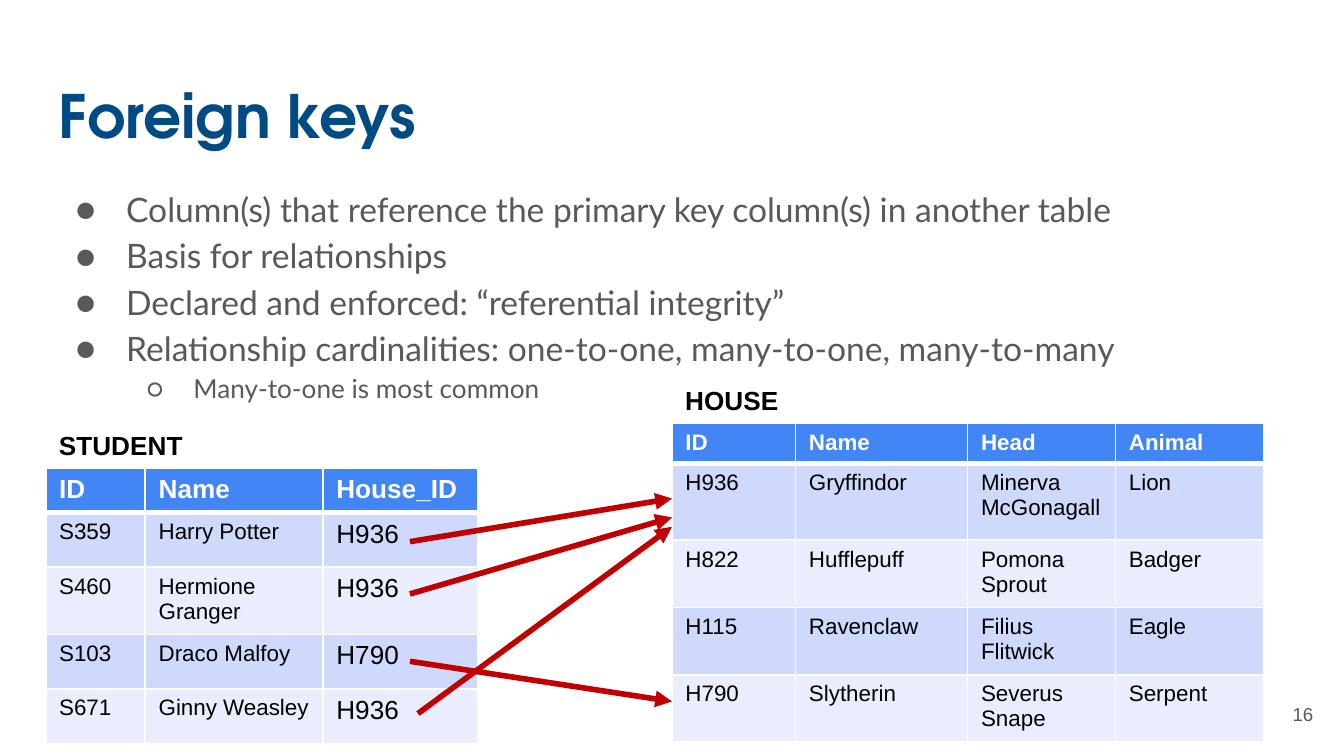
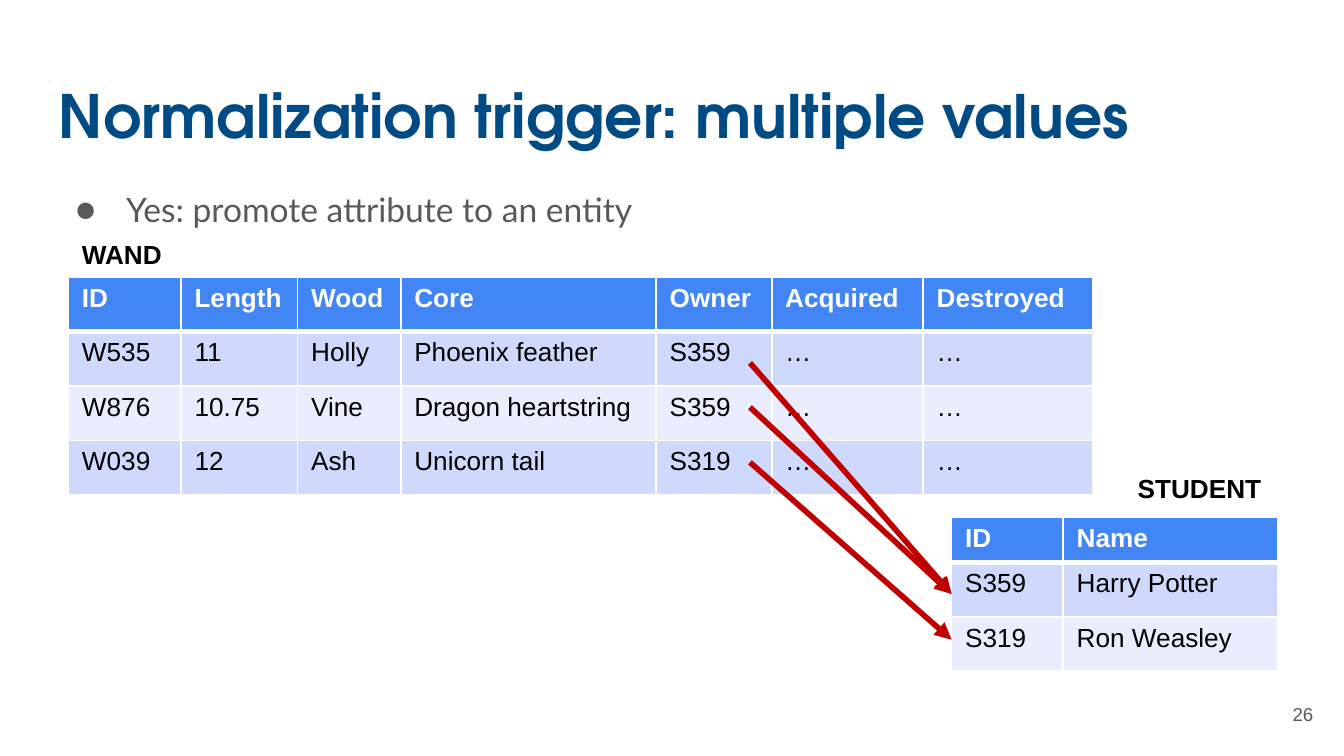
from dataclasses import dataclass

from lxml.etree import SubElement
from pptx import Presentation
from pptx.dml.color import RGBColor
from pptx.enum.shapes import MSO_CONNECTOR
from pptx.enum.text import MSO_ANCHOR, MSO_AUTO_SIZE, PP_ALIGN
from pptx.oxml.ns import qn
from pptx.util import Pt

# Shared look
NAVY, GREY, BLACK, WHITE, RED = "004B83", "595959", "000000", "FFFFFF", "C00000"
HEADER_FILL, BAND_FILLS = "4285F4", ("CFD9FB", "E9EDFD")
TITLE_FONT, BODY_FONT, TABLE_FONT = "TeX Gyre Adventor", "Lato", "Arial"
INSET = 7.2
ROW = 29.2


@dataclass
class Box:
    left: float
    top: float
    width: float
    height: float

    def lengths(self):
        return Pt(self.left), Pt(self.top), Pt(self.width), Pt(self.height)


TITLE_BOX = Box(24.5, 35, 671, 45.4)
BODY_BOX = Box(24.5, 90.7, 671, 269.3)
NUMBER_BOX = Box(667.4, 367.2, 43.2, 31)
LABEL_WIDTH, LABEL_HEIGHT = 87.1, 24.2


def color(value):
    return RGBColor.from_string(value)


def set_font(paragraph, name, size, value, bold=False):
    font = paragraph.font
    font.name, font.size, font.bold = name, Pt(size), bold
    font.color.rgb = color(value)


def add_text_box(slide, box, inset=INSET):
    frame = slide.shapes.add_textbox(*box.lengths()).text_frame
    frame.word_wrap = True
    frame.margin_top = frame.margin_bottom = Pt(inset)
    return frame


# Title, bullets and page number
def add_title(slide, box, text):
    paragraph = add_text_box(slide, box).paragraphs[0]
    paragraph.text = text
    set_font(paragraph, TITLE_FONT, 32, NAVY, True)


def add_bullet(paragraph, character, margin, indent):
    properties = paragraph._p.get_or_add_pPr()
    properties.set("marL", str(Pt(margin)))
    properties.set("indent", str(Pt(indent)))
    bullet_color = SubElement(properties, qn("a:buClr"))
    SubElement(bullet_color, qn("a:srgbClr"), val=GREY)
    SubElement(properties, qn("a:buFont"), typeface=BODY_FONT)
    SubElement(properties, qn("a:buChar"), char=character)


def add_bullets(slide, box, items):
    frame = add_text_box(slide, box)
    for index, (level, text) in enumerate(items):
        paragraph = frame.add_paragraph() if index else frame.paragraphs[0]
        paragraph.text = text
        paragraph.level = level
        paragraph.line_spacing = 1.15
        character, indent, size = (("●", -27, 18), ("○", -25.2, 14))[level]
        add_bullet(paragraph, character, 36 * (level + 1), indent)
        set_font(paragraph, BODY_FONT, size, GREY)


def add_page_number(slide, box, number):
    frame = add_text_box(slide, box)
    frame.vertical_anchor = MSO_ANCHOR.MIDDLE
    paragraph = frame.paragraphs[0]
    paragraph.text = str(number)
    paragraph.alignment = PP_ALIGN.RIGHT
    set_font(paragraph, TABLE_FONT, 10, GREY)


# Entity tables with their name above
def add_cell_borders(cell, bottom_width):
    properties = cell._tc.get_or_add_tcPr()
    for side, width in (("L", 1), ("R", 1), ("T", 1), ("B", bottom_width)):
        line = SubElement(properties, qn(f"a:ln{side}"), w=str(Pt(width)))
        fill = SubElement(line, qn("a:solidFill"))
        SubElement(fill, qn("a:srgbClr"), val=WHITE)


def add_entity_table(slide, box, columns, heights, rows, header_size, sizes):
    shape = slide.shapes.add_table(len(rows), len(columns), *box.lengths())
    table = shape.table
    for column, width in zip(table.columns, columns):
        column.width = Pt(width)
    for row, height in zip(table.rows, heights):
        row.height = Pt(height)
    shape.height = Pt(box.height)
    for row_index, texts in enumerate(rows):
        header = row_index == 0
        for column_index, text in enumerate(texts):
            cell = table.cell(row_index, column_index)
            add_cell_borders(cell, 3 if header else 1)
            cell.fill.solid()
            fill = HEADER_FILL if header else BAND_FILLS[(row_index - 1) % 2]
            cell.fill.fore_color.rgb = color(fill)
            paragraph = cell.text_frame.paragraphs[0]
            paragraph.text = text
            set_font(paragraph, TABLE_FONT,
                     header_size if header else sizes[column_index],
                     WHITE if header else BLACK, header)


def add_entity_label(slide, table_box, text, gap=0, right=False):
    left = table_box.left
    if right:
        left += table_box.width - LABEL_WIDTH - 2
    top = table_box.top - LABEL_HEIGHT - gap
    frame = add_text_box(slide, Box(left, top, LABEL_WIDTH, LABEL_HEIGHT), 3.6)
    frame.auto_size = MSO_AUTO_SIZE.SHAPE_TO_FIT_TEXT
    paragraph = frame.paragraphs[0]
    paragraph.text = text
    if right:
        paragraph.alignment = PP_ALIGN.RIGHT
    set_font(paragraph, TABLE_FONT, 14, BLACK, True)


# Arrows from a key cell to the left edge of the referenced table
def add_key_arrows(slide, source, target, offsets):
    for start_x, start_y, end_y in offsets:
        arrow = slide.shapes.add_connector(
            MSO_CONNECTOR.STRAIGHT,
            Pt(source.left + start_x), Pt(source.top + start_y),
            Pt(target.left), Pt(target.top + end_y))
        arrow.line.color.rgb = color(RED)
        arrow.line.width = Pt(3)
        SubElement(arrow.line._get_or_add_ln(), qn("a:tailEnd"), type="triangle")
        SubElement(arrow._element.spPr, qn("a:effectLst"))


def add_content_slide(presentation, title, bullets, number):
    slide = presentation.slides.add_slide(presentation.slide_layouts[6])
    add_title(slide, TITLE_BOX, title)
    add_bullets(slide, BODY_BOX, bullets)
    add_page_number(slide, NUMBER_BOX, number)
    return slide


def build_foreign_keys(presentation):
    slide = add_content_slide(presentation, "Foreign keys", [
        (0, "Column(s) that reference the primary key column(s) in another table"),
        (0, "Basis for relationships"),
        (0, "Declared and enforced: “referential integrity”"),
        (0, "Relationship cardinalities: one-to-one, many-to-one, many-to-many"),
        (1, "Many-to-one is most common"),
    ], 16)
    house = Box(360, 226.8, 316.8, 170.6)
    student = Box(24.5, 250.6, 231.5, 147.6)
    add_entity_table(slide, house, (66.2, 92.2, 79.2, 79.2),
                     (18, 41, ROW, ROW, ROW), [
        ("ID", "Name", "Head", "Animal"),
        ("H936", "Gryffindor", "Minerva McGonagall", "Lion"),
        ("H822", "Hufflepuff", "Pomona Sprout", "Badger"),
        ("H115", "Ravenclaw", "Filius Flitwick", "Eagle"),
        ("H790", "Slytherin", "Severus Snape", "Serpent"),
    ], 12, (12,) * 4)
    add_entity_table(slide, student, (53.3, 95.2, 83), (13, ROW, ROW, ROW, ROW), [
        ("ID", "Name", "House_ID"),
        ("S359", "Harry Potter", "H936"),
        ("S460", "Hermione Granger", "H936"),
        ("S103", "Draco Malfoy", "H790"),
        ("S671", "Ginny Weasley", "H936"),
    ], 14, (12, 12, 14))
    add_entity_label(slide, student, "STUDENT")
    add_entity_label(slide, house, "HOUSE")
    add_key_arrows(slide, student, house, [
        (195.1, 39.6, 40.3), (195.1, 67.6, 50.4),
        (199.4, 131.7, 55.4), (195.1, 103.7, 149),
    ])


def build_normalization(presentation):
    slide = add_content_slide(
        presentation, "Normalization trigger: multiple values",
        [(0, "Yes: promote attribute to an entity")], 26)
    wand = Box(36.7, 148.3, 548.6, 116.8)
    student = Box(509.8, 277.2, 175, 82.1)
    add_entity_table(slide, wand, (60.3, 62.5, 55.3, 136.8, 61.9, 81.2, 90.6),
                     (ROW,) * 4, [
        ("ID", "Length", "Wood", "Core", "Owner", "Acquired", "Destroyed"),
        ("W535", "11", "Holly", "Phoenix feather", "S359", "…", "…"),
        ("W876", "10.75", "Vine", "Dragon heartstring", "S359", "…", "…"),
        ("W039", "12", "Ash", "Unicorn tail", "S319", "…", "…"),
    ], 14, (14,) * 7)
    add_entity_table(slide, student, (59.8, 115.2), (0, ROW, ROW), [
        ("ID", "Name"),
        ("S359", "Harry Potter"),
        ("S319", "Ron Weasley"),
    ], 14, (14, 14))
    add_entity_label(slide, wand, "WAND")
    add_entity_label(slide, student, "STUDENT", gap=3.6, right=True)
    add_key_arrows(slide, wand, student, [
        (365.1, 46.1, 41), (365.1, 69.9, 41), (365.1, 99.4, 65.5),
    ])


def main():
    presentation = Presentation()
    presentation.slide_width, presentation.slide_height = Pt(720), Pt(405)
    build_foreign_keys(presentation)
    build_normalization(presentation)
    presentation.save("out.pptx")


if __name__ == "__main__":
    main()
